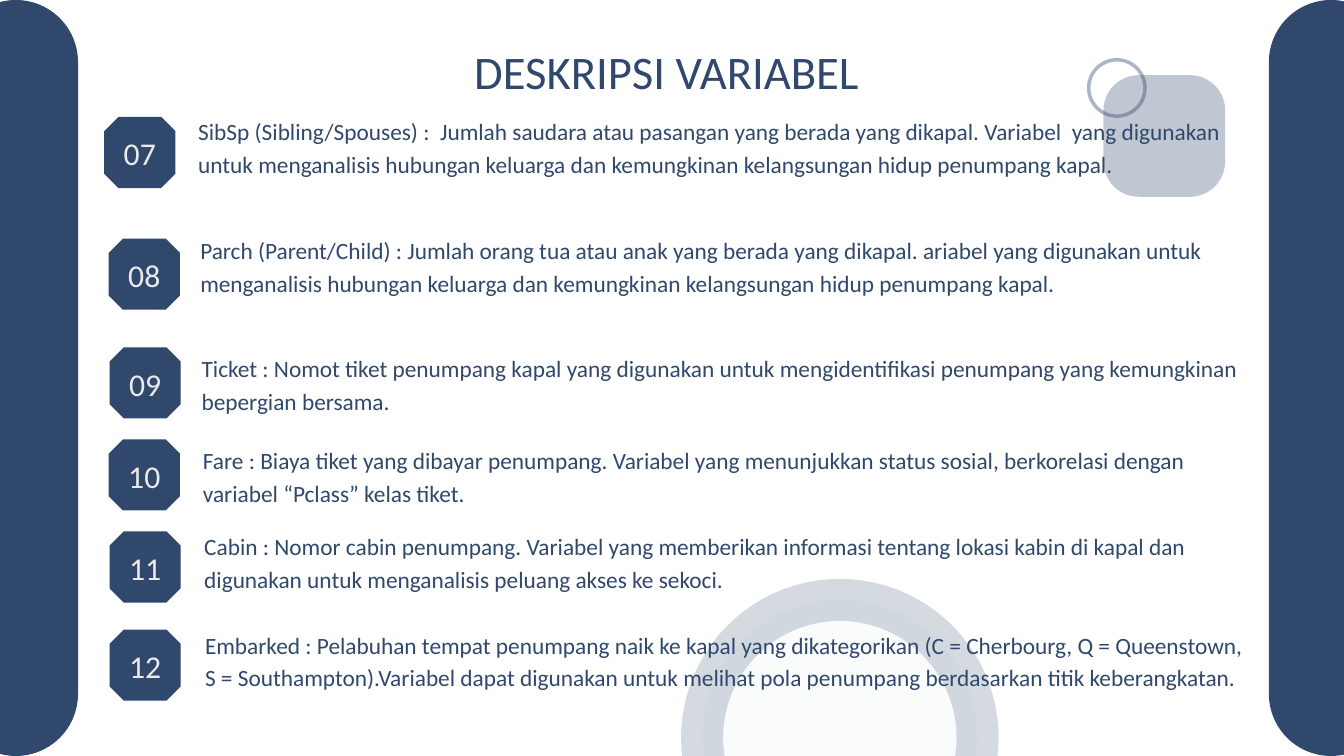
from lxml.etree import SubElement
from pptx import Presentation
from pptx.dml.color import RGBColor
from pptx.enum.shapes import MSO_SHAPE
from pptx.enum.text import MSO_ANCHOR, MSO_AUTO_SIZE, PP_ALIGN
from pptx.oxml.ns import qn
from pptx.util import Cm, Pt

NAVY, PALE, MIST = "30486C", "EAEAEB", "E8ECEC"
FONT = "Calibri"
SLIDE_WIDTH, SLIDE_HEIGHT = 50.8, 28.58
BADGE_SIZE = 2.69
PILL_WIDTH = 4.7

TITLE = "DESKRIPSI VARIABEL "
VARIABLES = [
    ("07", (3.94, 4.42), (7.49, 4.27, 39.14, 3.61),
     "SibSp (Sibling/Spouses) :  Jumlah saudara atau pasangan yang berada yang dikapal. "
     "Variabel  yang digunakan untuk menganalisis hubungan keluarga dan kemungkinan "
     "kelangsungan hidup penumpang kapal."),
    ("08", (4.11, 9.02), (7.57, 8.76, 39.32, 3.61),
     "Parch (Parent/Child) : Jumlah orang tua atau anak yang berada yang dikapal. "
     "ariabel yang digunakan untuk menganalisis hubungan keluarga dan kemungkinan "
     "kelangsungan hidup penumpang kapal."),
    ("09", (4.14, 13.13), (7.62, 13.23, 39.32, 2.39),
     "Ticket : Nomot tiket penumpang kapal yang digunakan untuk mengidentifikasi "
     "penumpang yang kemungkinan bepergian bersama."),
    ("10", (4.11, 16.61), (7.67, 16.69, 39.32, 2.39),
     "Fare : Biaya tiket yang dibayar penumpang. Variabel yang menunjukkan status "
     "sosial, berkorelasi dengan variabel “Pclass” kelas tiket."),
    ("11", (4.14, 20.09), (7.72, 19.96, 39.32, 2.39),
     "Cabin : Nomor cabin penumpang. Variabel yang memberikan informasi tentang lokasi "
     "kabin di kapal dan digunakan untuk menganalisis peluang akses ke sekoci."),
    ("12", (4.14, 23.8), (7.75, 23.67, 39.32, 3.61),
     "Embarked : Pelabuhan tempat penumpang naik ke kapal yang dikategorikan "
     "(C = Cherbourg, Q = Queenstown, S = Southampton).Variabel dapat digunakan untuk "
     "melihat pola penumpang berdasarkan titik keberangkatan."),
]


def paint(fill, color, opacity=100):
    fill.solid()
    fill.fore_color.rgb = RGBColor.from_string(color)
    if opacity < 100:
        for tone in fill._xPr.iter(qn("a:srgbClr")):
            if tone.getparent().getparent() is fill._xPr:
                SubElement(tone, qn("a:alpha"), val=str(opacity * 1000))


def add_figure(slide, preset, box, fill=None, fill_opacity=100,
               line_width=0, line_opacity=100, corner=None):
    figure = slide.shapes.add_shape(preset, *map(Cm, box))
    figure.shadow.inherit = False
    if corner is not None:
        figure.adjustments[0] = corner
    if line_width:
        figure.line.width = Pt(line_width)
        paint(figure.line.fill, NAVY, line_opacity)
    else:
        figure.line.fill.background()
    if fill:
        paint(figure.fill, fill, fill_opacity)
    else:
        figure.fill.background()
    return figure


def write(frame, text, size, color, spacing, align, anchor=MSO_ANCHOR.TOP, bottom=0):
    frame.word_wrap = True
    frame.auto_size = MSO_AUTO_SIZE.NONE
    frame.vertical_anchor = anchor
    frame.margin_left = frame.margin_top = frame.margin_right = 0
    frame.margin_bottom = Cm(bottom)
    paragraph = frame.paragraphs[0]
    paragraph.alignment = align
    paragraph.line_spacing = Pt(spacing)
    paragraph.space_before = Pt(0)
    run = paragraph.add_run()
    run.text = text
    run.font.name = FONT
    run.font.size = Pt(size)
    run.font.color.rgb = RGBColor.from_string(color)


def main():
    deck = Presentation()
    deck.slide_width, deck.slide_height = Cm(SLIDE_WIDTH), Cm(SLIDE_HEIGHT)
    slide = deck.slides.add_slide(deck.slide_layouts[5])

    title = slide.shapes.title
    title.left, title.top, title.width, title.height = map(Cm, (12.98, 1.27, 24.84, 2.36))
    write(title.text_frame, TITLE, 50, NAVY, 70, PP_ALIGN.CENTER)

    for pill_left in (-1.75, SLIDE_WIDTH - 2.84):
        add_figure(slide, MSO_SHAPE.ROUNDED_RECTANGLE,
                   (pill_left, 0, PILL_WIDTH, SLIDE_HEIGHT), NAVY, corner=0.5)

    add_figure(slide, MSO_SHAPE.ROUNDED_RECTANGLE, (41.71, 2.84, 4.6, 4.6),
               NAVY, 30, corner=0.29)
    add_figure(slide, MSO_SHAPE.OVAL, (41.15, 2.26, 2.13, 2.13),
               line_width=3.75, line_opacity=40)
    add_figure(slide, MSO_SHAPE.OVAL, (26.54, 22.68, 10.41, 10.41),
               MIST, 20, line_width=45, line_opacity=20)

    for number, badge_corner, description_box, description in VARIABLES:
        badge = add_figure(slide, MSO_SHAPE.OCTAGON,
                           (*badge_corner, BADGE_SIZE, BADGE_SIZE), NAVY, corner=0.2)
        write(badge.text_frame, number, 34, PALE, 47.6, PP_ALIGN.CENTER,
              MSO_ANCHOR.MIDDLE, bottom=0.2)
        body = slide.shapes.add_textbox(*map(Cm, description_box))
        write(body.text_frame, description, 25, NAVY, 35, PP_ALIGN.LEFT)

    deck.save("out.pptx")


if __name__ == "__main__":
    main()
